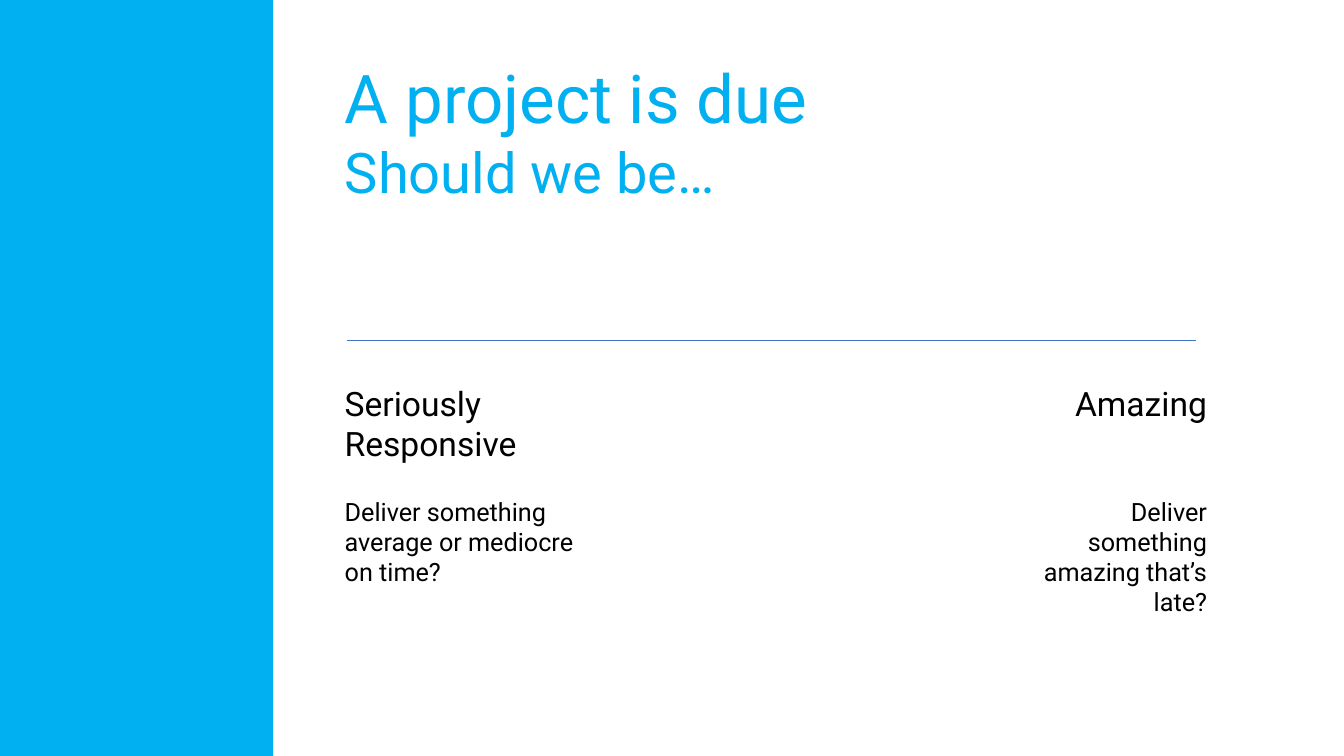
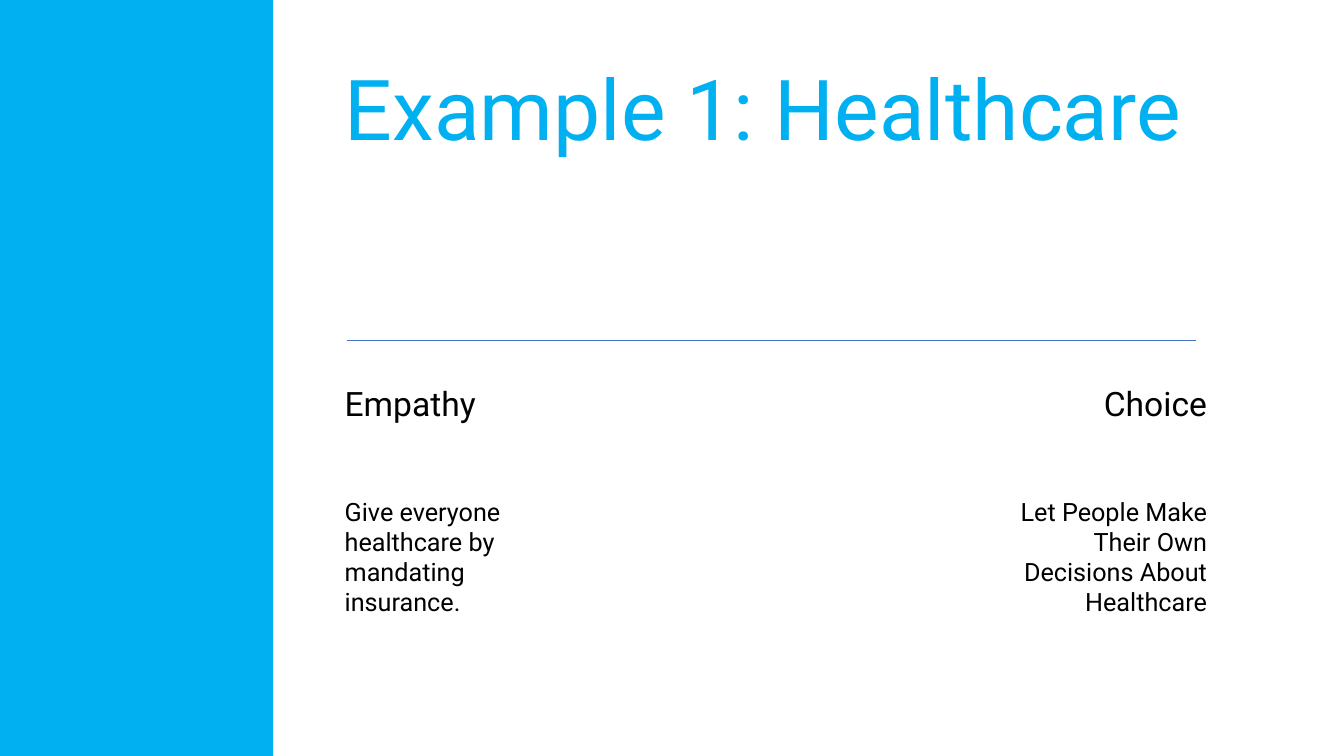
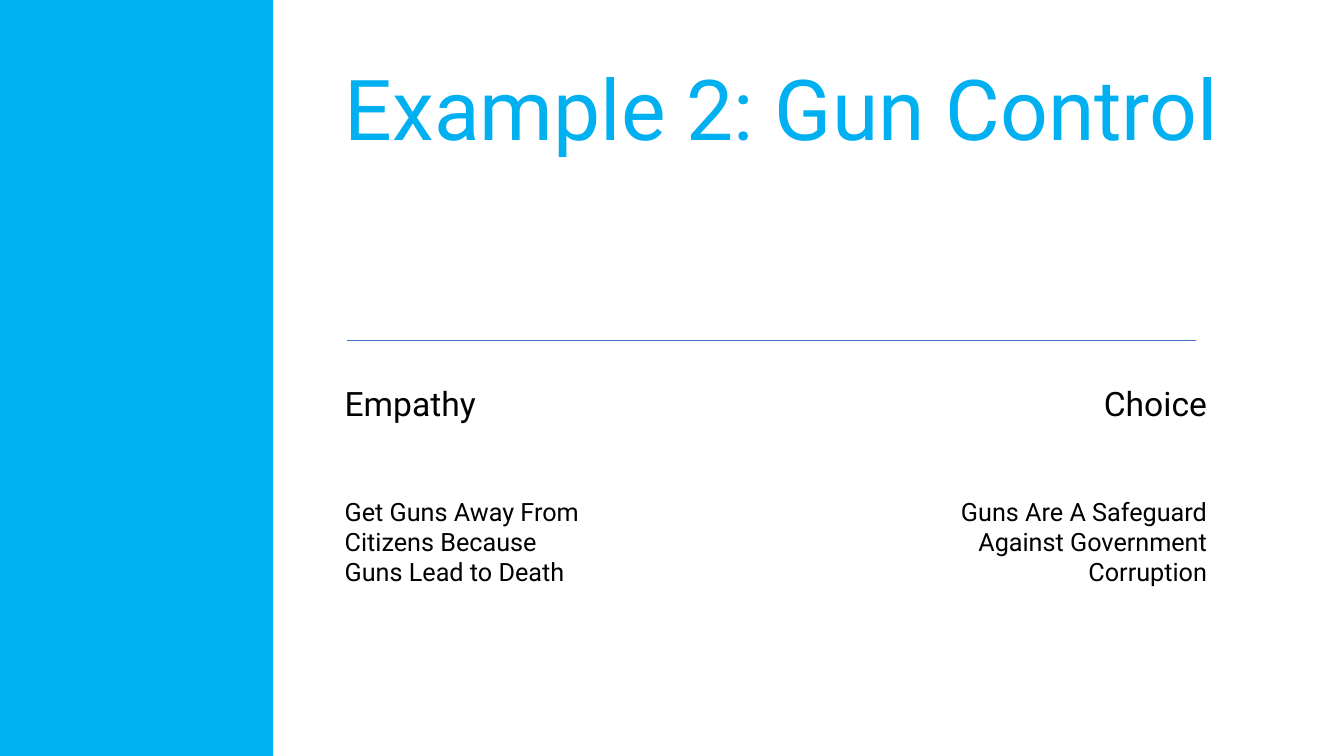
from dataclasses import dataclass

from pptx import Presentation
from pptx.dml.color import RGBColor
from pptx.enum.shapes import MSO_CONNECTOR, MSO_SHAPE
from pptx.enum.text import MSO_ANCHOR, MSO_AUTO_SIZE, PP_ALIGN
from pptx.oxml.ns import qn
from pptx.util import Pt
from lxml.etree import SubElement

EMU_PER_PX = 9144  # 100 px to the inch
SLIDE_WIDTH, SLIDE_HEIGHT = 1333, 750
BAND_WIDTH = 271
LEFT_EDGE, RIGHT_EDGE = 332, 1207
TITLE_TOP, HEADING_TOP, BODY_TOP = 51, 375, 487
RULE_START, RULE_END, RULE_TOP = 344, 1186, 338
HEADING_WIDTH = {"left": 196, "right": 176}
HEADING_SIZE, BODY_SIZE = 24, 18
FONT = "Roboto"
COLORS = {"accent": "00B0F0", "rule": "4472C4", "text": "000000"}
ALIGNMENTS = {"left": PP_ALIGN.LEFT, "right": PP_ALIGN.RIGHT}
TITLE_ONLY_LAYOUT = 5


@dataclass
class Column:
    side: str
    heading: list
    body: str
    body_width: int
    body_height: int


@dataclass
class Choice:
    """One slide: title lines with their sizes, and two opposed columns."""
    title: list
    title_width: int
    title_height: int
    columns: list


CHOICES = [
    Choice([("A project is due", 48), ("Should we be…", 40)], 854, 158, [
        Column("left", ["Seriously", "Responsive"],
               "Deliver something average or mediocre on time?", 266, 101),
        Column("right", ["Amazing"],
               "Deliver something amazing that’s late?", 219, 131),
    ]),
    Choice([("Example 1: Healthcare", 60)], 921, 111, [
        Column("left", ["Empathy"],
               "Give everyone healthcare by mandating insurance.", 225, 131),
        Column("right", ["Choice"],
               "Let People Make Their Own Decisions About Healthcare", 219, 131),
    ]),
    Choice([("Example 2: Gun Control", 60)], 921, 111, [
        Column("left", ["Empathy"],
               "Get Guns Away From Citizens Because Guns Lead to Death", 258, 101),
        Column("right", ["Choice"],
               "Guns Are A Safeguard Against Government Corruption", 265, 101),
    ]),
]


def px(length):
    return length * EMU_PER_PX


def rgb(name):
    return RGBColor.from_string(COLORS[name])


def write_text(shape, lines, color="text", side="left"):
    """Fill a shape with (text, point size) lines, one paragraph each."""
    frame = shape.text_frame
    frame.word_wrap = True
    frame.auto_size = MSO_AUTO_SIZE.NONE
    frame.vertical_anchor = MSO_ANCHOR.TOP
    for index, (text, size) in enumerate(lines):
        paragraph = frame.add_paragraph() if index else frame.paragraphs[0]
        paragraph.text = text
        paragraph.alignment = ALIGNMENTS[side]
        paragraph.font.name = FONT
        paragraph.font.size = Pt(size)
        paragraph.font.color.rgb = rgb(color)


def set_title(slide, choice):
    title = slide.shapes.title
    title.left, title.top = px(LEFT_EDGE), px(TITLE_TOP)
    title.width, title.height = px(choice.title_width), px(choice.title_height)
    write_text(title, choice.title, color="accent")


def add_band(slide):
    band = slide.shapes.add_shape(
        MSO_SHAPE.RECTANGLE, 0, 0, px(BAND_WIDTH), px(SLIDE_HEIGHT))
    band.shadow.inherit = False
    band.fill.solid()
    band.fill.fore_color.rgb = rgb("accent")
    band.line.fill.background()


def add_rule(slide):
    rule = slide.shapes.add_connector(
        MSO_CONNECTOR.STRAIGHT,
        px(RULE_START), px(RULE_TOP), px(RULE_END), px(RULE_TOP))
    rule.line.color.rgb = rgb("rule")
    rule.line.width = Pt(0.5)
    SubElement(rule.element.spPr, qn("a:effectLst"))


def add_column_text(slide, side, top, width, height, lines):
    """Add a text box that is flush with its side of the content area."""
    left = LEFT_EDGE if side == "left" else RIGHT_EDGE - width
    box = slide.shapes.add_textbox(px(left), px(top), px(width), px(height))
    write_text(box, lines, side=side)


def add_column(slide, column):
    heading = [(line, HEADING_SIZE) for line in column.heading]
    add_column_text(slide, column.side, HEADING_TOP, HEADING_WIDTH[column.side],
                    10 + 40 * len(heading), heading)
    add_column_text(slide, column.side, BODY_TOP, column.body_width,
                    column.body_height, [(column.body, BODY_SIZE)])


def add_choice_slide(presentation, choice):
    layout = presentation.slide_layouts[TITLE_ONLY_LAYOUT]
    slide = presentation.slides.add_slide(layout)
    set_title(slide, choice)
    add_band(slide)
    for column in choice.columns:
        add_column(slide, column)
    add_rule(slide)


def main():
    presentation = Presentation()
    presentation.slide_width = px(SLIDE_WIDTH)
    presentation.slide_height = px(SLIDE_HEIGHT)
    for choice in CHOICES:
        add_choice_slide(presentation, choice)
    presentation.save("out.pptx")


if __name__ == "__main__":
    main()
